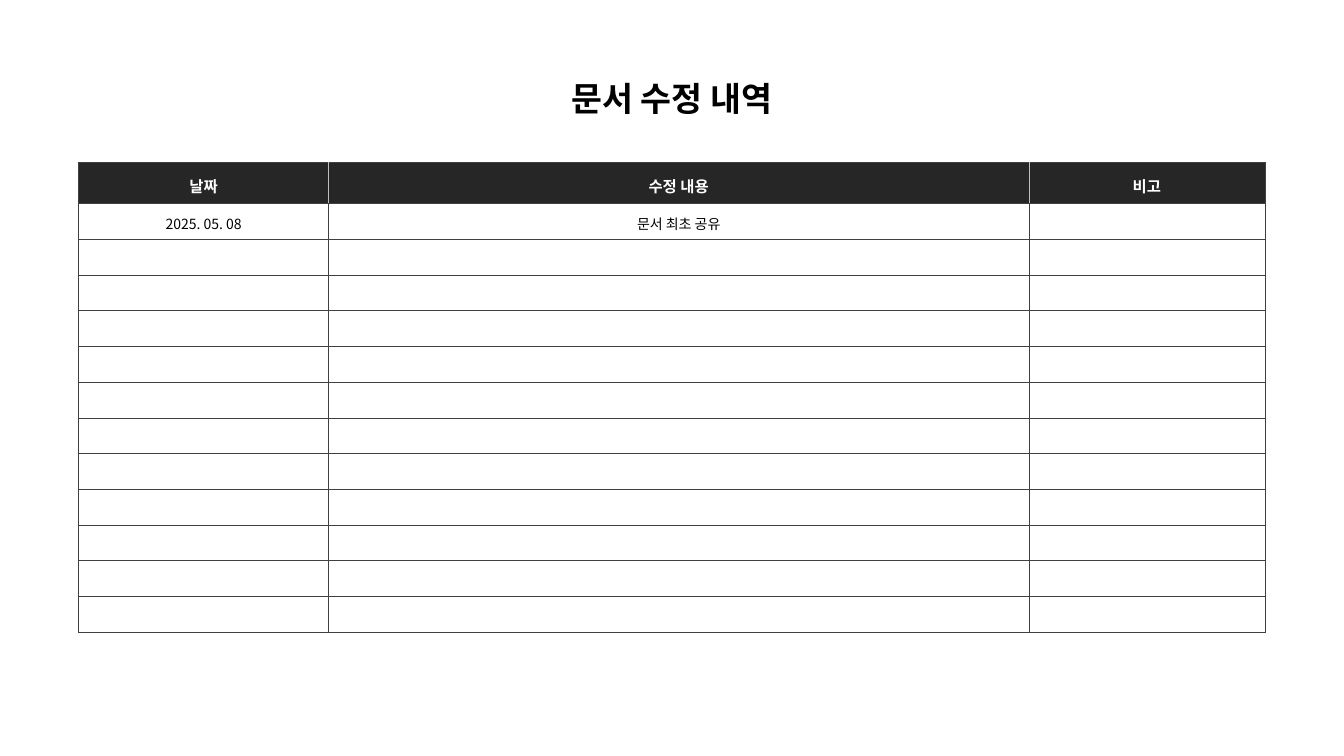
from dataclasses import dataclass

from lxml import etree
from pptx import Presentation
from pptx.dml.color import RGBColor
from pptx.enum.text import MSO_ANCHOR, MSO_AUTO_SIZE, PP_ALIGN
from pptx.oxml.ns import qn
from pptx.util import Cm, Pt

CENTER = PP_ALIGN.CENTER
MIDDLE = MSO_ANCHOR.MIDDLE
FIT = MSO_AUTO_SIZE.SHAPE_TO_FIT_TEXT
BLANK = 6


@dataclass(frozen=True)
class Theme:
    font: str = "Noto Sans CJK KR"
    ink: str = "000000"
    light: str = "FFFFFF"
    head: str = "262626"
    line: str = "404040"
    split: str = "BFBFBF"
    title: float = 24
    label: float = 11
    body: float = 10
    rule: float = 0.5


THEME = Theme()
HEADS = ("날짜", "수정 내용", "비고")
LOG = [("2025. 05. 08", "문서 최초 공유", "")]
ROWS = 12
SHARES = (6.3, 17.65, 5.95)
HEAD_H = 1.03


def add_run(para, text, size, color, bold=False):
    run = para.add_run()
    run.text = text
    font = run.font
    font.name, font.size, font.bold = THEME.font, Pt(size), bold
    font.color.rgb = RGBColor.from_string(color)
    east = etree.SubElement(font._element, qn("a:ea"))
    east.set("typeface", THEME.font)


def add_title(slide, text, left, top, width, height):
    box = slide.shapes.add_textbox(Cm(left), Cm(top), Cm(width), Cm(height))
    frame = box.text_frame
    frame.word_wrap = False
    frame.auto_size = FIT
    para = frame.paragraphs[0]
    para.alignment = CENTER
    add_run(para, text, THEME.title, THEME.ink, True)


def set_edges(cell, colors):
    props = cell._tc.get_or_add_tcPr()
    for side, color in zip("LRTB", colors):
        edge = etree.SubElement(props, qn(f"a:ln{side}"), w=str(Pt(THEME.rule)))
        fill = etree.SubElement(edge, qn("a:solidFill"))
        etree.SubElement(fill, qn("a:srgbClr"), val=color)


def fill_cell(cell, text, head, first, last):
    # Borders: light dividers inside the header, dark lines elsewhere
    left = THEME.split if head and not first else THEME.line
    right = THEME.split if head and not last else THEME.line
    set_edges(cell, (left, right, THEME.line, THEME.line))
    if head:
        cell.fill.solid()
        cell.fill.fore_color.rgb = RGBColor.from_string(THEME.head)
    else:
        cell.fill.background()

    # Text
    cell.vertical_anchor = MIDDLE
    para = cell.text_frame.paragraphs[0]
    para.alignment = CENTER
    para.line_spacing = 1.2
    size = THEME.label if head else THEME.body
    if text:
        add_run(para, text, size, THEME.light if head else THEME.ink, head)
    else:
        # Keeps empty rows from growing
        etree.SubElement(para._p, qn("a:endParaRPr"), sz=str(Pt(size).centipoints))


def add_log(slide, left, top, width, height):
    count = len(HEADS)
    frame = slide.shapes.add_table(
        ROWS + 1, count, Cm(left), Cm(top), Cm(width), Cm(height))
    table = frame.table
    table.first_row = table.horz_banding = False

    # Grid
    for col, share in zip(table.columns, SHARES):
        col.width = Cm(width * share / sum(SHARES))
    for i, row in enumerate(table.rows):
        row.height = Cm(HEAD_H if i == 0 else (height - HEAD_H) / ROWS)

    # Cells
    blank = [("",) * count] * (ROWS - len(LOG))
    for r, texts in enumerate([HEADS, *LOG, *blank]):
        for c, text in enumerate(texts):
            fill_cell(table.cell(r, c), text, r == 0, c == 0, c == count - 1)


def main():
    deck = Presentation()
    deck.slide_width, deck.slide_height = Cm(33.87), Cm(19.05)
    slide = deck.slides.add_slide(deck.slide_layouts[BLANK])
    add_title(slide, "문서 수정 내역", 13.97, 1.85, 5.92, 1.27)
    add_log(slide, 1.98, 4.1, 29.9, 11.83)
    deck.save("out.pptx")


if __name__ == "__main__":
    main()
